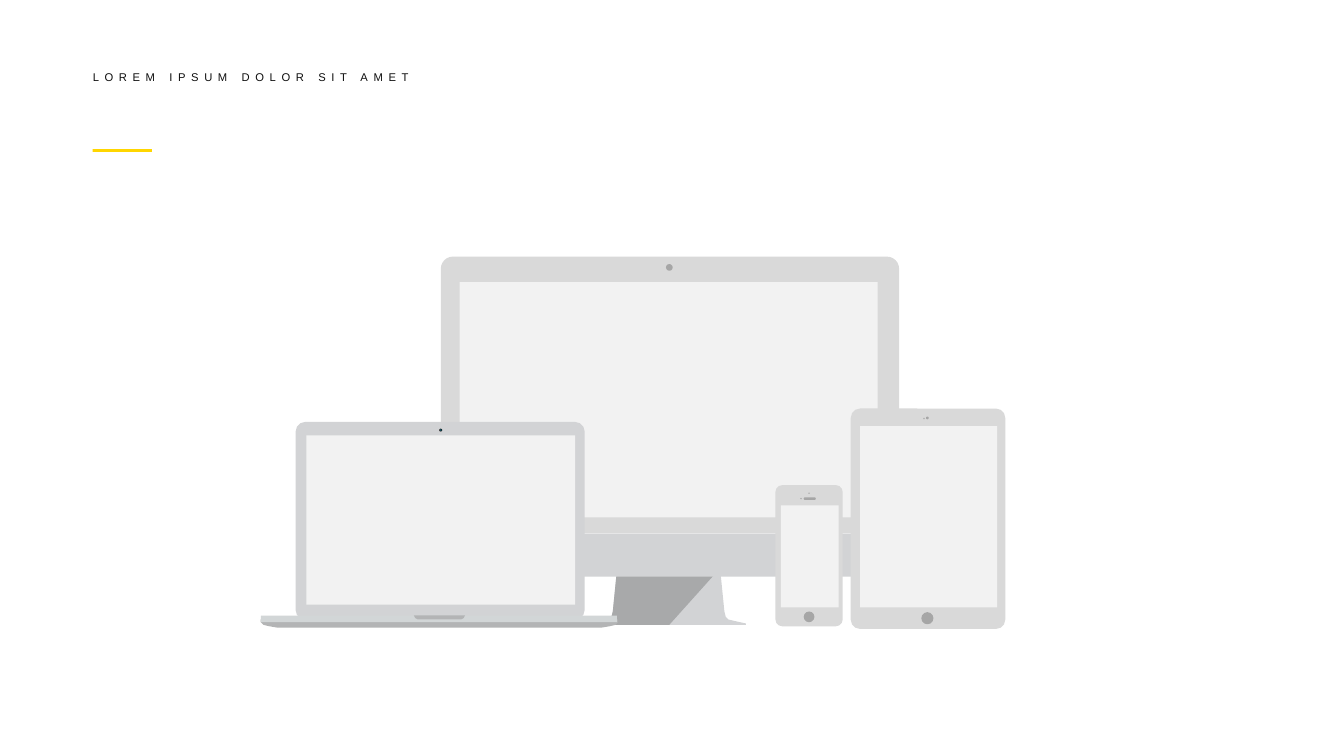
from dataclasses import dataclass
from typing import Union

from pptx import Presentation
from pptx.dml.color import RGBColor
from pptx.enum.shapes import MSO_SHAPE as Shape
from pptx.enum.text import MSO_ANCHOR as Anchor, MSO_AUTO_SIZE as AutoSize, PP_ALIGN as Align
from pptx.util import Inches, Pt

WHITE = RGBColor(0xFF, 0xFF, 0xFF)
YELLOW = RGBColor(0xFF, 0xD6, 0x00)
INK = RGBColor(0x0E, 0x0E, 0x0E)
FRAME = RGBColor(0xD9, 0xD9, 0xD9)
SCREEN = RGBColor(0xF2, 0xF2, 0xF2)
DETAIL = RGBColor(0xA6, 0xA6, 0xA6)
METAL = RGBColor(0xD2, 0xD3, 0xD5)
DECK = RGBColor(0xD2, 0xD6, 0xD7)
STAND_SHADE = RGBColor(0xA8, 0xA9, 0xAA)
UNDERSIDE = RGBColor(0xB3, 0xB4, 0xB5)
CAMERA_RING = RGBColor(0x0A, 0x0A, 0x0A)
BLACK = RGBColor(0x00, 0x00, 0x00)
LENS = RGBColor(0x2C, 0x99, 0xB4)

Points = list[tuple[float, float]]


@dataclass(frozen=True)
class Part:
    kind: Shape
    left: float
    top: float
    width: float
    height: float
    color: RGBColor
    radii: tuple[float, ...] = ()


@dataclass(frozen=True)
class Outline:
    points: Points
    color: RGBColor


Device = list[Union[Part, Outline]]


def mirrored(half: Points, center: float) -> Points:
    return half + [(round(2 * center - x, 2), y) for x, y in reversed(half)]


def circle(x: float, y: float, diameter: float, color: RGBColor = DETAIL) -> Part:
    return Part(Shape.OVAL, x - diameter / 2, y - diameter / 2, diameter, diameter, color)


def paint(shape, color: RGBColor) -> None:
    shape.shadow.inherit = False
    shape.fill.solid()
    shape.fill.fore_color.rgb = color
    shape.line.fill.background()


def draw_part(shapes, part: Part) -> None:
    box = (part.left, part.top, part.width, part.height)
    shape = shapes.add_shape(part.kind, *map(Inches, box))
    for index, radius in enumerate(part.radii):
        shape.adjustments[index] = radius / min(part.width, part.height)
    paint(shape, part.color)


def draw_outline(shapes, outline: Outline) -> None:
    corners = [(Inches(x), Inches(y)) for x, y in outline.points]
    builder = shapes.build_freeform(*corners[0])
    builder.add_line_segments(corners[1:], close=True)
    paint(builder.convert_to_shape(), outline.color)


def draw_device(slide, device: Device) -> None:
    shapes = slide.shapes.add_group_shape().shapes
    for piece in device:
        if isinstance(piece, Part):
            draw_part(shapes, piece)
        else:
            draw_outline(shapes, piece)


def write_title(slide, text: str) -> None:
    title = slide.shapes.title
    placement = {"left": 0.69, "top": 0.52, "width": 7.17, "height": 0.1}
    for side, length in placement.items():
        setattr(title, side, Inches(length))
    frame = title.text_frame
    frame_format = {
        "margin_left": 0, "margin_top": 0, "margin_right": 0, "margin_bottom": 0,
        "vertical_anchor": Anchor.MIDDLE, "word_wrap": True,
        "auto_size": AutoSize.SHAPE_TO_FIT_TEXT,
    }
    for attribute, value in frame_format.items():
        setattr(frame, attribute, value)
    heading = frame.paragraphs[0]
    heading.alignment = Align.LEFT
    words = heading.add_run()
    words.text = text
    for attribute, value in {"name": "Arial", "size": Pt(6), "bold": False}.items():
        setattr(words.font, attribute, value)
    words.font.color.rgb = INK
    words.font._element.set("spc", "300")


STAND_SIDE = [(4.59, 4.25), (4.56, 4.55), (4.55, 4.59), (4.53, 4.61),
              (4.49, 4.62), (4.4, 4.64), (4.4, 4.65)]
BASE_SIDE = [(1.94, 4.61), (1.94, 4.63), (1.96, 4.65), (2, 4.66), (2.06, 4.67)]
NOTCH_SIDE = [(3.08, 4.58), (3.09, 4.6), (3.11, 4.61)]
STAND_CENTER = 4.975
LAPTOP_CENTER = 3.27

MONITOR: Device = [
    Part(Shape.ROUND_2_SAME_RECTANGLE, 3.28, 1.91, 3.41, 2.06, FRAME, (0.09, 0)),
    Part(Shape.RECTANGLE, 3.42, 2.1, 3.11, 1.75, SCREEN),
    *(circle(4.98, 1.99, diameter) for diameter in (0.05, 0.03, 0.02)),
    Outline(mirrored(STAND_SIDE, STAND_CENTER), METAL),
    Outline(STAND_SIDE + [(4.98, 4.65), (5.33, 4.26)], STAND_SHADE),
    Part(Shape.ROUND_2_SAME_RECTANGLE, 3.28, 3.97, 3.41, 0.32, METAL, (0, 0.09)),
]

PHONE: Device = [
    Part(Shape.ROUNDED_RECTANGLE, 5.77, 3.61, 0.5, 1.05, FRAME, (0.05,)),
    circle(6.02, 4.59, 0.08),
    Part(Shape.ROUNDED_RECTANGLE, 6, 4.57, 0.04, 0.04, DETAIL, (0.01,)),
    Part(Shape.RECTANGLE, 5.81, 3.76, 0.43, 0.76, SCREEN),
    circle(6.02, 3.67, 0.01),
    Part(Shape.ROUNDED_RECTANGLE, 5.98, 3.7, 0.09, 0.02, DETAIL, (0.01,)),
    circle(5.96, 3.71, 0.01),
]

TABLET: Device = [
    Part(Shape.ROUNDED_RECTANGLE, 6.33, 3.04, 1.15, 1.64, FRAME, (0.07,)),
    circle(6.9, 3.11, 0.02),
    circle(6.9, 3.11, 0.01),
    Part(Shape.RECTANGLE, 6.87, 3.11, 0.01, 0.01, DETAIL),
    Part(Shape.RECTANGLE, 6.4, 3.17, 1.02, 1.35, SCREEN),
    circle(6.9, 4.6, 0.09),
    Part(Shape.ROUNDED_RECTANGLE, 6.88, 4.58, 0.04, 0.04, DETAIL, (0.01,)),
]

LAPTOP: Device = [
    Outline(mirrored(BASE_SIDE, LAPTOP_CENTER), UNDERSIDE),
    Part(Shape.ROUNDED_RECTANGLE, 2.2, 3.14, 2.15, 1.47, METAL, (0.07,)),
    Part(Shape.RECTANGLE, 1.94, 4.58, 2.65, 0.05, DECK),
    Outline(mirrored(NOTCH_SIDE, LAPTOP_CENTER), UNDERSIDE),
    Part(Shape.RECTANGLE, 2.28, 3.24, 2, 1.26, SCREEN),
    circle(3.28, 3.2, 0.02, CAMERA_RING),
    Part(Shape.OVAL, 3.27, 3.19, 0.01, 0.02, BLACK),
    circle(3.28, 3.2, 0.01, LENS),
]


def main() -> None:
    deck = Presentation()
    deck.slide_width = Inches(10)
    deck.slide_height = deck.slide_width * 9 // 16
    slide = deck.slides.add_slide(deck.slide_layouts[5])
    slide.background.fill.solid()
    slide.background.fill.fore_color.rgb = WHITE
    write_title(slide, "LOREM IPSUM DOLOR SIT AMET")
    draw_part(slide.shapes, Part(Shape.RECTANGLE, 0.69, 1.11, 0.44, 0.02, YELLOW))
    for device in (MONITOR, PHONE, TABLET, LAPTOP):
        draw_device(slide, device)
    deck.save("out.pptx")


if __name__ == "__main__":
    main()
